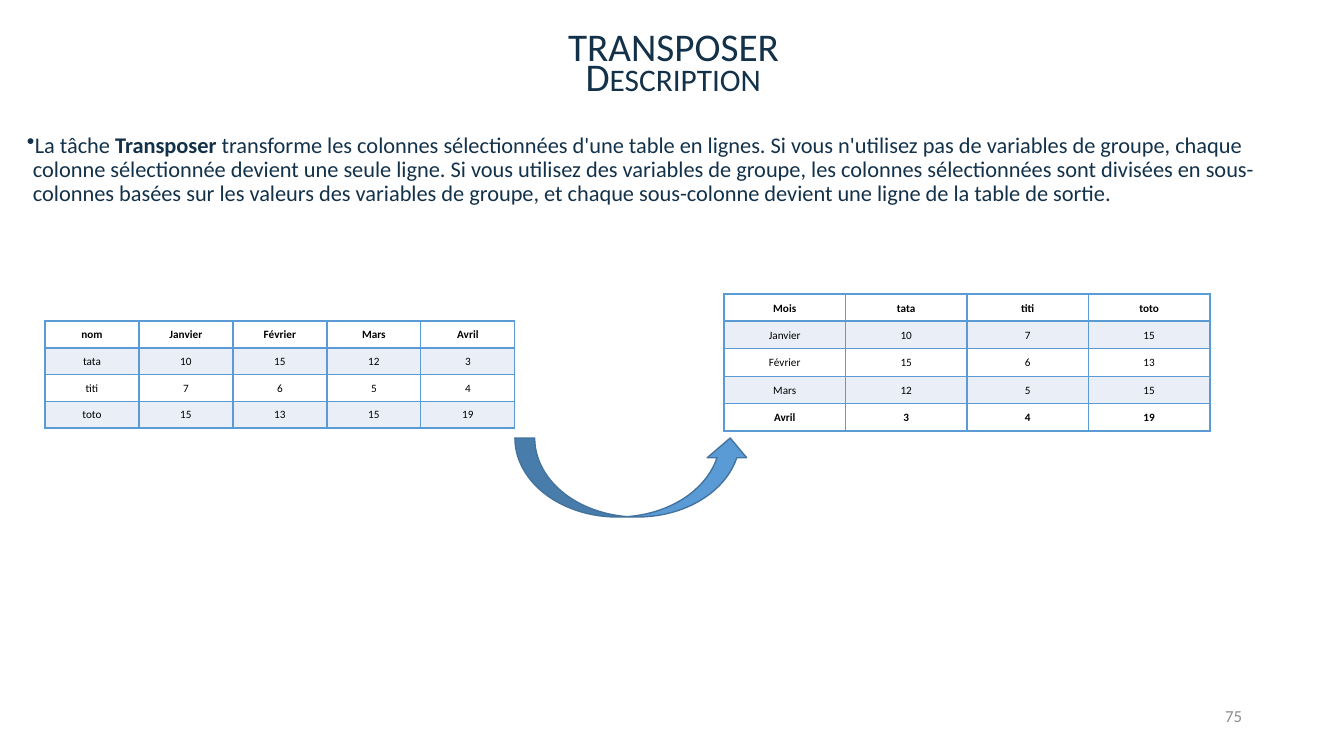
from dataclasses import dataclass

from lxml.etree import SubElement
from pptx import Presentation
from pptx.dml.color import RGBColor
from pptx.enum.shapes import MSO_SHAPE
from pptx.enum.text import MSO_ANCHOR, PP_ALIGN
from pptx.oxml.ns import qn
from pptx.util import Pt

# Content
TITLE = "TRANSPOSER"
SUBTITLE = "Description"
PAGE_NUMBER = "75"
DESCRIPTION = [
    ("La tâche ", False),
    ("Transposer", True),
    (" transforme les colonnes sélectionnées d'une table en lignes. "
     "Si vous n'utilisez pas de variables de groupe, chaque colonne sélectionnée "
     "devient une seule ligne. Si vous utilisez des variables de groupe, les colonnes "
     "sélectionnées sont divisées en sous-colonnes basées sur les valeurs des variables "
     "de groupe, et chaque sous-colonne devient une ligne de la table de sortie.", False),
]
SOURCE_ROWS = [
    ("nom", "Janvier", "Février", "Mars", "Avril"),
    ("tata", "10", "15", "12", "3"),
    ("titi", "7", "6", "5", "4"),
    ("toto", "15", "13", "15", "19"),
]
TRANSPOSED_ROWS = list(zip(*SOURCE_ROWS))
TRANSPOSED_ROWS[0] = ("Mois",) + TRANSPOSED_ROWS[0][1:]


@dataclass(frozen=True)
class Theme:
    font: str = "Calibri"
    ink: str = "13324A"
    grey: str = "8C8C8C"
    black: str = "000000"
    blue: str = "5B9BD5"
    outline: str = "43739E"
    band: str = "EAEFF7"
    title_size: int = 28
    body_size: int = 16
    number_size: int = 12
    table_size: int = 8


THEME = Theme()
PX = 914400 / 100.8


def px(length):
    return round(length * PX)


def write(frame, spans, size, color, align=PP_ALIGN.LEFT, anchor=MSO_ANCHOR.TOP,
          spacing=None, small_caps=False, bullet=None, hanging=(0, 0)):
    """Fill a text frame with one paragraph of (text, bold) spans."""
    frame.word_wrap = True
    frame.vertical_anchor = anchor
    para = frame.paragraphs[0]
    if bullet:
        properties = para._p.get_or_add_pPr()
        properties.set("marL", str(px(hanging[0])))
        properties.set("indent", str(px(hanging[1])))
        SubElement(properties, qn("a:buChar"), char=bullet)
    para.alignment = align
    para.line_spacing = spacing
    for text, bold in spans:
        span = para.add_run()
        span.text = text
        span.font.name = THEME.font
        span.font.size = Pt(size)
        span.font.bold = bold
        span.font.color.rgb = RGBColor.from_string(color)
        if small_caps:
            span._r.get_or_add_rPr().set("cap", "small")


def add_text(page, area, spans, **style):
    box = page.shapes.add_textbox(*map(px, area))
    write(box.text_frame, spans, **style)


def add_border(cell, side, width):
    line = SubElement(cell._tc.get_or_add_tcPr(), qn(f"a:ln{side}"), w=str(Pt(width)))
    color = SubElement(SubElement(line, qn("a:solidFill")), qn("a:srgbClr"))
    color.set("val", THEME.blue)


def add_grid(page, area, rows, bold_rows):
    """Draw a banded table; bold rows have a heavier bottom border."""
    left, top, width, height = map(px, area)
    table = page.shapes.add_table(len(rows), len(rows[0]), left, top, width, height).table
    table.first_row = table.horz_banding = False
    for column in table.columns:
        column.width = width // len(rows[0])
    for r, values in enumerate(rows):
        table.rows[r].height = height // len(rows)
        for c, value in enumerate(values):
            cell = table.cell(r, c)
            cell.margin_left = cell.margin_right = cell.margin_top = px(1)
            cell.margin_bottom = 0
            cell.vertical_anchor = MSO_ANCHOR.MIDDLE
            add_border(cell, "L", 1)
            add_border(cell, "R", 1)
            add_border(cell, "T", 1.5 if r - 1 in bold_rows else 1)
            add_border(cell, "B", 1.5 if r in bold_rows else 1)
            if r % 2:
                cell.fill.solid()
                cell.fill.fore_color.rgb = RGBColor.from_string(THEME.band)
            else:
                cell.fill.background()
            para_style = dict(size=THEME.table_size, color=THEME.black, align=PP_ALIGN.CENTER)
            write(cell.text_frame, [(value, r in bold_rows)],
                  anchor=MSO_ANCHOR.MIDDLE, **para_style)


def main():
    deck = Presentation()
    deck.slide_width, deck.slide_height = px(1344), px(756)
    page = deck.slides.add_slide(deck.slide_layouts[6])

    # Headings
    for text, top, small_caps in ((TITLE, 23, False), (SUBTITLE, 53, True)):
        add_text(page, (179, top, 989, 52), [(text, False)], size=THEME.title_size,
                 color=THEME.ink, align=PP_ALIGN.CENTER, anchor=MSO_ANCHOR.MIDDLE,
                 spacing=0.9, small_caps=small_caps)

    # Description and page number
    add_text(page, (17, 129, 1254, 83), DESCRIPTION, size=THEME.body_size,
             color=THEME.ink, spacing=0.9, bullet="•", hanging=(6, -31))
    add_text(page, (950, 701, 302, 40), [(PAGE_NUMBER, False)], size=THEME.number_size,
             color=THEME.grey, align=PP_ALIGN.RIGHT)

    # Arrow from the source table to the transposed one
    arrow = page.shapes.add_shape(MSO_SHAPE.CURVED_UP_ARROW, *map(px, (515, 438, 235, 79)))
    arrow.shadow.inherit = False
    arrow.fill.solid()
    arrow.fill.fore_color.rgb = RGBColor.from_string(THEME.blue)
    arrow.line.color.rgb = RGBColor.from_string(THEME.outline)
    arrow.line.width = Pt(1)

    # Tables
    add_grid(page, (45, 321, 470, 107), SOURCE_ROWS, bold_rows={0})
    add_grid(page, (724, 294, 486, 137), TRANSPOSED_ROWS,
             bold_rows={0, len(TRANSPOSED_ROWS) - 1})

    deck.save("out.pptx")


if __name__ == "__main__":
    main()
